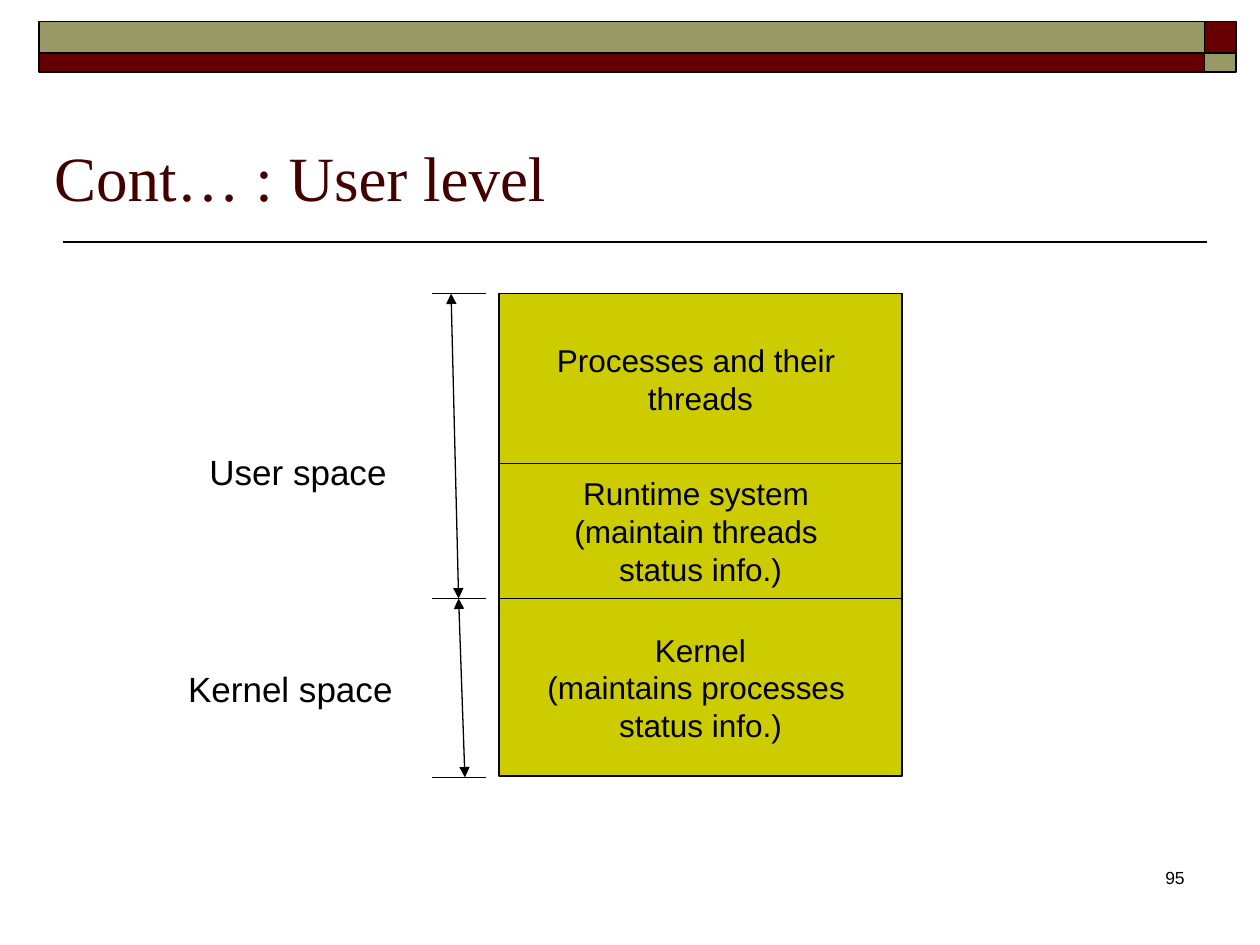
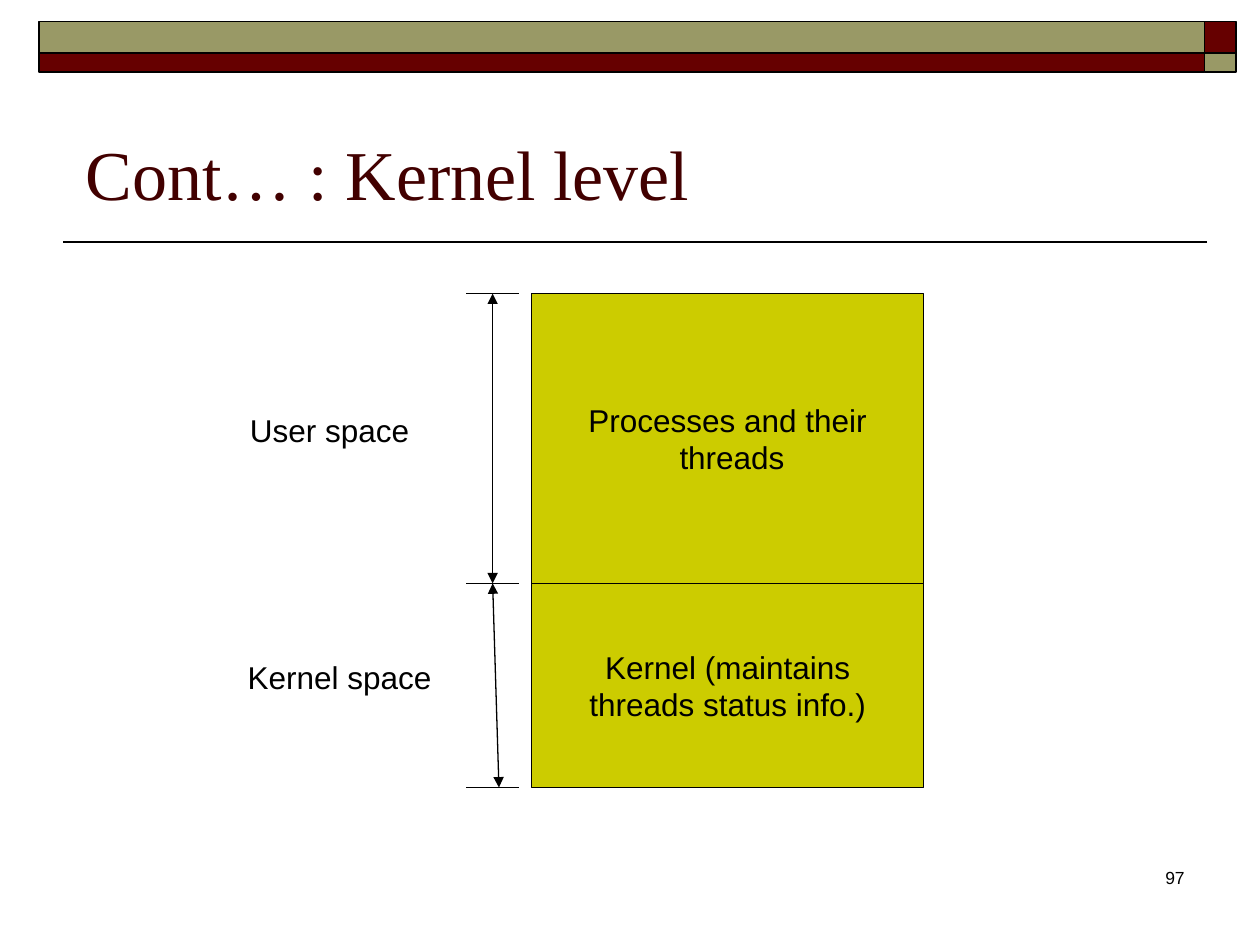
from lxml import etree
from pptx import Presentation
from pptx.dml.color import RGBColor
from pptx.enum import shapes, text
from pptx.oxml import ns
from pptx.util import Inches, Pt

MAROON = RGBColor(0x66, 0x00, 0x00)
OLIVE = RGBColor(0x99, 0x99, 0x66)
TITLE_COLOR = RGBColor(0x42, 0x00, 0x00)
LAYER_FILL = RGBColor(0xCC, 0xCC, 0x00)
BLACK = RGBColor(0x00, 0x00, 0x00)

BODY_FONT = "Arial"
TITLE_FONT = "Times New Roman"
TITLE_ONLY = 5
CENTER = text.PP_ALIGN.CENTER
RIGHT = text.PP_ALIGN.RIGHT
LEFT = text.PP_ALIGN.LEFT

BAND_COLUMNS = [(0.31, 9.25), (9.56, 0.25)]
BAND_ROWS = [(0.17, 0.25, (OLIVE, MAROON)), (0.42, 0.15, (MAROON, OLIVE))]


class Deck:
    def __init__(self):
        self.presentation = Presentation()
        self.presentation.slide_width = Inches(10)
        self.presentation.slide_height = Inches(7.5)
        self.slide = None

    def add_slide(self, title, title_left, title_size, number):
        layout = self.presentation.slide_layouts[TITLE_ONLY]
        self.slide = self.presentation.slides.add_slide(layout)
        self.line((9.58, 1.92), (0.5, 1.92), width=1)
        for top, height, colors in BAND_ROWS:
            for (left, width), color in zip(BAND_COLUMNS, colors):
                self.rectangle(left, top, width, height, color, 1)
        self.title(title, title_left, title_size)
        self.label(str(number), 7.42, 6.83, 2.08, 0.5, 10, RIGHT)

    def fill_text(self, shape, lines, size, align, name=BODY_FONT, color=BLACK, **frame_format):
        frame = shape.text_frame
        for attribute, value in frame_format.items():
            setattr(frame, attribute, value)
        font_format = {"name": name, "size": Pt(size)}
        for index, line in enumerate(lines):
            paragraph = frame.paragraphs[0] if index == 0 else frame.add_paragraph()
            paragraph.text = line
            paragraph.alignment = align
            for attribute, value in font_format.items():
                setattr(paragraph.font, attribute, value)
            paragraph.font.color.rgb = color

    def title(self, title, left, size):
        shape = self.slide.shapes.title
        place = {"left": left, "top": 0.92, "width": 9, "height": 0.83}
        for attribute, value in place.items():
            setattr(shape, attribute, Inches(value))
        self.fill_text(shape, [title], size, LEFT, TITLE_FONT, TITLE_COLOR,
                       vertical_anchor=text.MSO_ANCHOR.BOTTOM,
                       auto_size=text.MSO_AUTO_SIZE.NONE)

    def label(self, words, left, top, width, height, size, align=CENTER):
        box = self.slide.shapes.add_textbox(
            Inches(left), Inches(top), Inches(width), Inches(height))
        self.fill_text(box, [words], size, align, word_wrap=True)

    def rectangle(self, left, top, width, height, fill, line_width=0.75):
        shape = self.slide.shapes.add_shape(
            shapes.MSO_SHAPE.RECTANGLE,
            Inches(left), Inches(top), Inches(width), Inches(height))
        shape.shadow.inherit = False
        shape.fill.solid()
        shape.fill.fore_color.rgb = fill
        shape.line.color.rgb = BLACK
        shape.line.width = Pt(line_width)
        return shape

    def line(self, start, end, width=0.75, arrows=False):
        connector = self.slide.shapes.add_connector(
            shapes.MSO_CONNECTOR.STRAIGHT, *map(Inches, start + end))
        connector.line.color.rgb = BLACK
        connector.line.width = Pt(width)
        properties = connector._element.spPr
        if arrows:
            outline = properties.find(ns.qn("a:ln"))
            for tag in ("a:headEnd", "a:tailEnd"):
                etree.SubElement(outline, ns.qn(tag), type="triangle")
        etree.SubElement(properties, ns.qn("a:effectLst"))

    def layers(self, left, width, edges, layer_texts):
        for top, bottom, lines in zip(edges, edges[1:], layer_texts):
            shape = self.rectangle(left, top, width, bottom - top, LAYER_FILL)
            self.fill_text(shape, lines, 18, CENTER, word_wrap=False,
                           vertical_anchor=text.MSO_ANCHOR.MIDDLE)

    def extents(self, tick_left, tick_right, edges, arrow_points):
        for edge in edges:
            self.line((tick_left, edge), (tick_right, edge))
        ends = list(zip(arrow_points, edges))
        for start, end in zip(ends, ends[1:]):
            self.line(start, end, arrows=True)


def main():
    deck = Deck()

    deck.add_slide("Cont… : User level", 0.33, 36, 95)
    deck.layers(3.96, 3.2, [2.33, 3.68, 4.75, 6.16], [
        ["Processes and their ", "threads"],
        ["Runtime system ", "(maintain threads ", "status info.)"],
        ["Kernel", "(maintains processes ", "status info.)"],
    ])
    deck.extents(3.43, 3.86, [2.33, 4.75, 6.17], [3.58, 3.64, 3.69])
    deck.label("User space", 1.19, 3.53, 2.35, 0.44, 20)
    deck.label("Kernel space", 1.08, 5.25, 2.45, 0.44, 20)

    deck.add_slide("Cont… : Kernel level", 0.58, 40, 97)
    space_edges = [2.33, 4.63, 6.25]
    deck.layers(4.22, 3.11, space_edges, [
        ["Processes and their", " threads"],
        ["Kernel (maintains", "threads status info.)"],
    ])
    deck.extents(3.7, 4.12, space_edges, [3.91, 3.91, 3.96])
    deck.label("User space", 1.42, 3.21, 2.39, 0.4, 18)
    deck.label("Kernel space", 1.5, 5.17, 2.39, 0.4, 18)

    deck.presentation.save("out.pptx")


if __name__ == "__main__":
    main()
